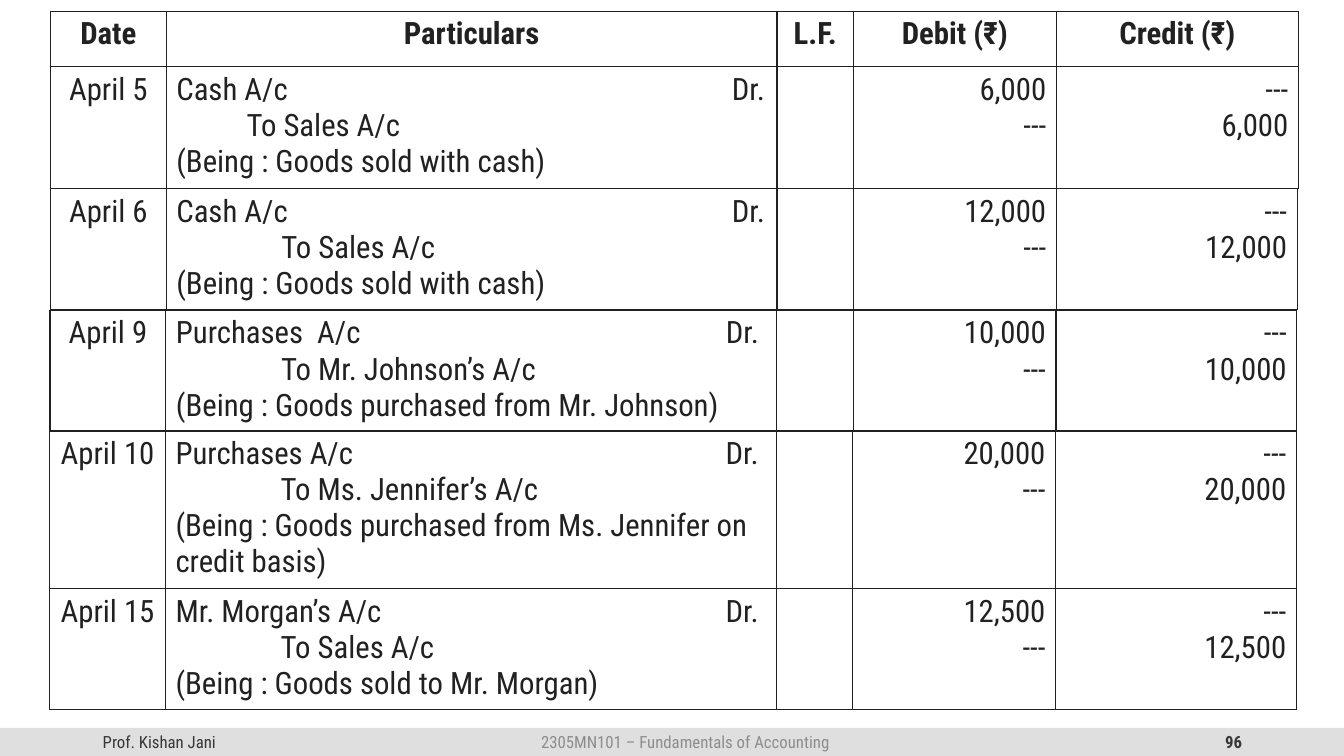
import dataclasses

import lxml.etree
import pptx
import pptx.dml.color
import pptx.enum.shapes
import pptx.enum.text
import pptx.oxml.ns
import pptx.slide
import pptx.table
import pptx.text.text
import pptx.util

Cm = pptx.util.Cm
Align = pptx.enum.text.PP_ALIGN
INK = pptx.dml.color.RGBColor(0x21, 0x21, 0x21)
DARK = pptx.dml.color.RGBColor(0x37, 0x37, 0x37)
GREY = pptx.dml.color.RGBColor(0x8D, 0x8D, 0x8D)
BAND = pptx.dml.color.RGBColor(0xDF, 0xDF, 0xDF)
FONT = "Roboto Condensed"
WIDTHS = (2.92, 15.39, 1.93, 5.11)
HEADS = ("Date", "Particulars", "L.F.", "Debit (₹)", "Credit (₹)")
FOOT_TOP, FOOT_TALL = 18.34, 0.71


@dataclasses.dataclass
class Entry:
    date: str
    debtor: str
    payee: str
    reason: str
    amount: str
    left: float
    top: float
    tall: float = 3.0
    indent: float = 2.65
    stop: float = 13.86
    last: float = 6.07
    headed: bool = False


@dataclasses.dataclass
class Note:
    text: str
    left: float
    wide: float
    align: Align
    color: pptx.dml.color.RGBColor
    bold: bool = False


ENTRIES = (
    Entry("April 5", "Cash A/c", "To Sales A/c", "(Being : Goods sold with cash)",
          "6,000", 1.27, 0.28, tall=3.07, indent=1.77, stop=14, last=6.1, headed=True),
    Entry("April 6", "Cash A/c", "To Sales A/c", "(Being : Goods sold with cash)",
          "12,000", 1.27, 4.75, stop=14),
    Entry("April 9", "Purchases  A/c", "To Mr. Johnson’s A/c",
          "(Being : Goods purchased from Mr. Johnson)", "10,000", 1.26, 7.82),
    Entry("April 10", "Purchases A/c", "To Ms. Jennifer’s A/c",
          "(Being : Goods purchased from Ms. Jennifer on credit basis)",
          "20,000", 1.25, 10.85, tall=3.93),
    Entry("April 15", "Mr. Morgan’s A/c", "To Sales A/c",
          "(Being : Goods sold to Mr. Morgan)", "12,500", 1.25, 14.83),
)
NOTES = (
    Note("Prof. Kishan Jani", 2.34, 7.62, Align.LEFT, DARK),
    Note("96", 23.93, 7.62, Align.RIGHT, DARK, True),
    Note("2305MN101 – Fundamentals of Accounting", 10.62, 13.31, Align.CENTER, GREY),
)


def style(para: pptx.text.text._Paragraph, align: Align, size: int,
          color: pptx.dml.color.RGBColor, bold: bool = False) -> None:
    para.alignment = align
    for run in para.runs:
        run.font.name = FONT
        run.font.size = pptx.util.Pt(size)
        run.font.bold = bold
        run.font.color.rgb = color


def frame_cell(cell: pptx.table._Cell) -> None:
    """Give a cell thin borders and no fill."""
    props = cell._tc.get_or_add_tcPr()
    qn = pptx.oxml.ns.qn
    for side in ("lnL", "lnR", "lnT", "lnB"):
        line = lxml.etree.SubElement(props, qn(f"a:{side}"), w=str(pptx.util.Pt(1)))
        fill = lxml.etree.SubElement(line, qn("a:solidFill"))
        lxml.etree.SubElement(fill, qn("a:srgbClr"), val=str(INK))
    cell.fill.background()


def fill_cell(cell: pptx.table._Cell, text: str, align: Align, bold: bool = False) -> None:
    frame_cell(cell)
    if text:
        cell.text_frame.text = text
        for para in cell.text_frame.paragraphs:
            style(para, align, 22, INK, bold)


def set_stops(cell: pptx.table._Cell, entry: Entry) -> None:
    """Place the Dr. mark by a tab stop and indent the payee line."""
    first, payee = cell.text_frame.paragraphs[:2]
    qn = pptx.oxml.ns.qn
    tabs = lxml.etree.SubElement(first._p.get_or_add_pPr(), qn("a:tabLst"))
    lxml.etree.SubElement(tabs, qn("a:tab"), pos=str(Cm(entry.stop)), algn="l")
    props = payee._p.get_or_add_pPr()
    props.set("marL", str(Cm(entry.indent)))
    props.set("indent", "0")


def add_entry(slide: pptx.slide.Slide, entry: Entry) -> None:
    widths = (*WIDTHS, entry.last)
    talls = (1.4, entry.tall) if entry.headed else (entry.tall,)
    table = slide.shapes.add_table(len(talls), len(widths), Cm(entry.left), Cm(entry.top),
                                   Cm(sum(widths)), Cm(sum(talls))).table
    table.first_row = entry.headed
    table.horz_banding = False
    for col, wide in zip(table.columns, widths):
        col.width = Cm(wide)
    for row, tall in zip(table.rows, talls):
        row.height = Cm(tall)
    if entry.headed:
        for cell, head in zip(table.rows[0].cells, HEADS):
            fill_cell(cell, head, Align.CENTER, True)
    body = (
        (entry.date, Align.CENTER),
        (f"{entry.debtor}\tDr.\n{entry.payee}\n{entry.reason}", Align.LEFT),
        ("", Align.LEFT),
        (f"{entry.amount}\n---", Align.RIGHT),
        (f"---\n{entry.amount}", Align.RIGHT),
    )
    cells = list(table.rows[len(talls) - 1].cells)
    for cell, (text, align) in zip(cells, body):
        fill_cell(cell, text, align)
    set_stops(cells[1], entry)


def add_note(slide: pptx.slide.Slide, note: Note) -> None:
    box = slide.shapes.add_textbox(Cm(note.left), Cm(FOOT_TOP), Cm(note.wide), Cm(FOOT_TALL))
    frame = box.text_frame
    frame.word_wrap = True
    frame.vertical_anchor = pptx.enum.text.MSO_ANCHOR.MIDDLE
    frame.text = note.text
    style(frame.paragraphs[0], note.align, 12, note.color, note.bold)


def main() -> None:
    deck = pptx.Presentation()
    deck.slide_width, deck.slide_height = Cm(33.87), Cm(19.05)
    slide = deck.slides.add_slide(deck.slide_layouts[6])
    band = slide.shapes.add_shape(pptx.enum.shapes.MSO_SHAPE.ROUNDED_RECTANGLE, 0,
                                  Cm(FOOT_TOP), deck.slide_width, Cm(FOOT_TALL))
    band.adjustments[0] = 0
    band.shadow.inherit = False
    band.fill.solid()
    band.fill.fore_color.rgb = BAND
    band.line.fill.background()
    for note in NOTES:
        add_note(slide, note)
    for entry in ENTRIES:
        add_entry(slide, entry)
    deck.save("out.pptx")


if __name__ == "__main__":
    main()
